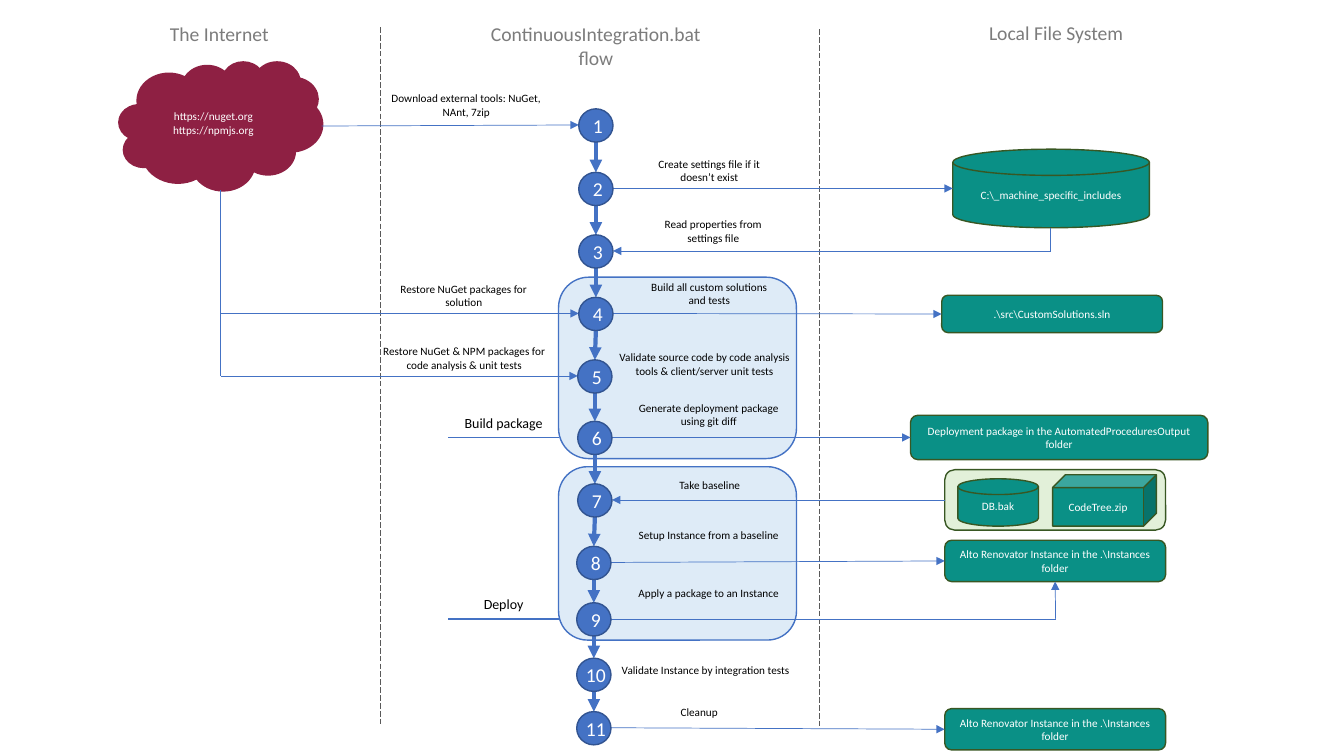
from itertools import pairwise

from lxml.etree import SubElement
from pptx import Presentation
from pptx.dml.color import RGBColor
from pptx.enum.dml import MSO_LINE
from pptx.enum.shapes import MSO_CONNECTOR, MSO_SHAPE
from pptx.enum.text import MSO_ANCHOR, MSO_AUTO_SIZE, PP_ALIGN
from pptx.oxml.ns import qn
from pptx.util import Emu, Pt

PX = 9144
FONT = "Calibri"
COLORS = {
    "blue": "4472C4",
    "step_edge": "325491",
    "phase": "DEEBF7",
    "teal": "0A9086",
    "green_edge": "385723",
    "baseline": "E2F0D9",
    "cloud": "8E2043",
    "heading": "7C7C7C",
    "divider": "595959",
    "black": "000000",
    "white": "FFFFFF",
}
STEP_WIDTH, STEP_HEIGHT = 34, 33
STEPS = [
    (574, 108), (574, 171), (574, 233), (574, 295), (573, 357), (573, 418),
    (573, 480), (572, 542), (572, 598), (572, 653), (572, 706),
]
LABELS = [
    ("Download external tools: NuGet, NAnt, 7zip", 371, 86, 183, 37),
    ("Create settings file if it doesn’t exist", 638, 151, 131, 37),
    ("Read properties from settings file", 641, 211, 133, 37),
    ("Restore NuGet packages for solution", 382, 275, 156, 37),
    ("Build all custom solutions and tests", 629, 273, 149, 37),
    ("Restore NuGet & NPM packages for code analysis & unit tests", 369, 337, 183, 37),
    ("Validate source code by code analysis tools & client/server unit tests", 601, 343, 196, 37),
    ("Generate deployment package using git diff", 615, 393, 176, 37),
    ("Take baseline", 616, 470, 176, 24),
    ("Setup Instance from a baseline", 615, 519, 176, 24),
    ("Apply a package to an Instance", 615, 577, 176, 24),
    ("Validate Instance by integration tests", 602, 653, 196, 24),
    ("Cleanup", 651, 695, 85, 24),
]
INSTANCE = "Alto Renovator Instance in the .\\Instances folder"


def px(*lengths):
    return [Emu(length * PX) for length in lengths]


def color(name):
    return RGBColor.from_string(COLORS[name])


def write(box, text, size, ink, anchor):
    frame = box.text_frame
    frame.text = text
    frame.word_wrap = True
    frame.auto_size = MSO_AUTO_SIZE.NONE
    frame.vertical_anchor = anchor
    for para in frame.paragraphs:
        para.alignment = PP_ALIGN.CENTER
        for span in para.runs:
            span.font.name = FONT
            span.font.size = Pt(size)
            span.font.color.rgb = color(ink)


def add_label(page, text, left, top, width, height, size=8, ink="black"):
    box = page.shapes.add_textbox(*px(left, top, width, height))
    write(box, text, size, ink, MSO_ANCHOR.TOP)


def add_box(shapes, kind, left, top, width, height, text="", fill="teal",
            edge="green_edge", size=8):
    box = shapes.add_shape(kind, *px(left, top, width, height))
    box.shadow.inherit = False
    box.fill.solid()
    box.fill.fore_color.rgb = color(fill)
    box.line.color.rgb = color(edge)
    box.line.width = Pt(1)
    if text:
        write(box, text, size, "white", MSO_ANCHOR.MIDDLE)
    return box


def add_line(page, start, end, width=0.5, ink="blue", arrow=False):
    line = page.shapes.add_connector(MSO_CONNECTOR.STRAIGHT, *px(*start, *end))
    line.line.color.rgb = color(ink)
    line.line.width = Pt(width)
    if arrow:
        SubElement(line.line._get_or_add_ln(), qn("a:tailEnd"), type="triangle")
    SubElement(line._element.spPr, qn("a:effectLst"))
    return line


def add_elbow(page, start, corner, end):
    add_line(page, start, corner)
    add_line(page, corner, end, arrow=True)


def add_divider(page, x, top, bottom):
    divider = add_line(page, (x, top), (x, bottom), ink="divider")
    divider.line.dash_style = MSO_LINE.LONG_DASH


def add_step(page, number, left, top):
    step = add_box(page.shapes, MSO_SHAPE.FLOWCHART_CONNECTOR, left, top, STEP_WIDTH,
                   STEP_HEIGHT, str(number), "blue", "step_edge", 14)
    frame = step.text_frame
    frame.word_wrap = False
    frame.margin_left, frame.margin_right = px(4, 0)
    frame.margin_top = frame.margin_bottom = 0


def add_headings(page):
    title = page.shapes.title
    title.left, title.top, title.width, title.height = px(470, 17, 242, 57)
    write(title, "ContinuousIntegration.bat flow", 14, "heading", MSO_ANCHOR.TOP)
    add_label(page, "The Internet", 155, 17, 125, 34, 14, "heading")
    add_label(page, "Local File System", 964, 16, 167, 34, 14, "heading")
    add_divider(page, 377, 27, 718)
    add_divider(page, 813, 29, 721)


def add_phases(page):
    for name, top, height, line_y in (
        ("Build package", 275, 180, 434), ("Deploy", 463, 172, 614),
    ):
        add_box(page.shapes, MSO_SHAPE.ROUNDED_RECTANGLE, 554, top, 236, height,
                fill="phase", edge="blue")
        add_line(page, (554, line_y), (444, line_y), 1)
        add_label(page, name, 448, line_y - 28, 103, 27, 10)


def add_stores(page):
    rounded = MSO_SHAPE.ROUNDED_RECTANGLE
    disk = MSO_SHAPE.FLOWCHART_MAGNETIC_DISK
    add_box(page.shapes, MSO_SHAPE.CLOUD, 118, 61, 202, 128,
            "https://nuget.org\nhttps://npmjs.org", "cloud", "cloud")
    add_box(page.shapes, disk, 945, 148, 195, 78, "C:\\_machine_specific_includes")
    baseline = page.shapes.add_group_shape().shapes
    panel = add_box(baseline, rounded, 937, 466, 219, 60, fill="baseline")
    add_box(baseline, disk, 950, 475, 80, 47, "DB.bak")
    add_box(baseline, MSO_SHAPE.CUBE, 1044, 471, 103, 51, "CodeTree.zip")
    targets = {
        4: (934, 293, 219, 37, ".\\src\\CustomSolutions.sln"),
        6: (903, 412, 295, 44, "Deployment package in the AutomatedProceduresOutput folder"),
        8: (937, 536, 219, 41, INSTANCE),
        11: (937, 703, 219, 41, INSTANCE),
    }
    return panel, {number: add_box(page.shapes, rounded, *target)
                   for number, target in targets.items()}


def step_side(number, right=False):
    left, top = STEPS[number - 1]
    return left + right * STEP_WIDTH, top + STEP_HEIGHT // 2


def add_flow(page, panel, targets):
    for (left, top), (next_left, next_top) in pairwise(STEPS):
        add_line(page, (left + STEP_WIDTH // 2, top + STEP_HEIGHT),
                 (next_left + STEP_WIDTH // 2, next_top), 3, arrow=True)
    add_line(page, (319, 125), step_side(1), arrow=True)
    add_line(page, step_side(2, True), (945, 187), arrow=True)
    add_elbow(page, (1042, 226), (1042, 249), step_side(3, True))
    for number in (4, 5):
        end = step_side(number)
        add_elbow(page, (219, 189), (219, end[1]), end)
    for number, target in targets.items():
        start = step_side(number, True)
        add_line(page, start, (937, start[1]), arrow=True).end_connect(target, 1)
    take = add_line(page, (937, 496), step_side(7, True), arrow=True)
    take.begin_connect(panel, 1)
    apply_start = step_side(9, True)
    add_line(page, apply_start, (1047, apply_start[1]))
    rise = add_line(page, (1047, apply_start[1]), (1047, 577), arrow=True)
    rise.end_connect(targets[8], 2)


def main():
    deck = Presentation()
    deck.slide_width, deck.slide_height = px(1333, 750)
    page = deck.slides.add_slide(deck.slide_layouts[5])
    add_headings(page)
    add_phases(page)
    panel, targets = add_stores(page)
    add_flow(page, panel, targets)
    for number, (left, top) in enumerate(STEPS, 1):
        add_step(page, number, left, top)
    for label in LABELS:
        add_label(page, *label)
    deck.save("out.pptx")


if __name__ == "__main__":
    main()
